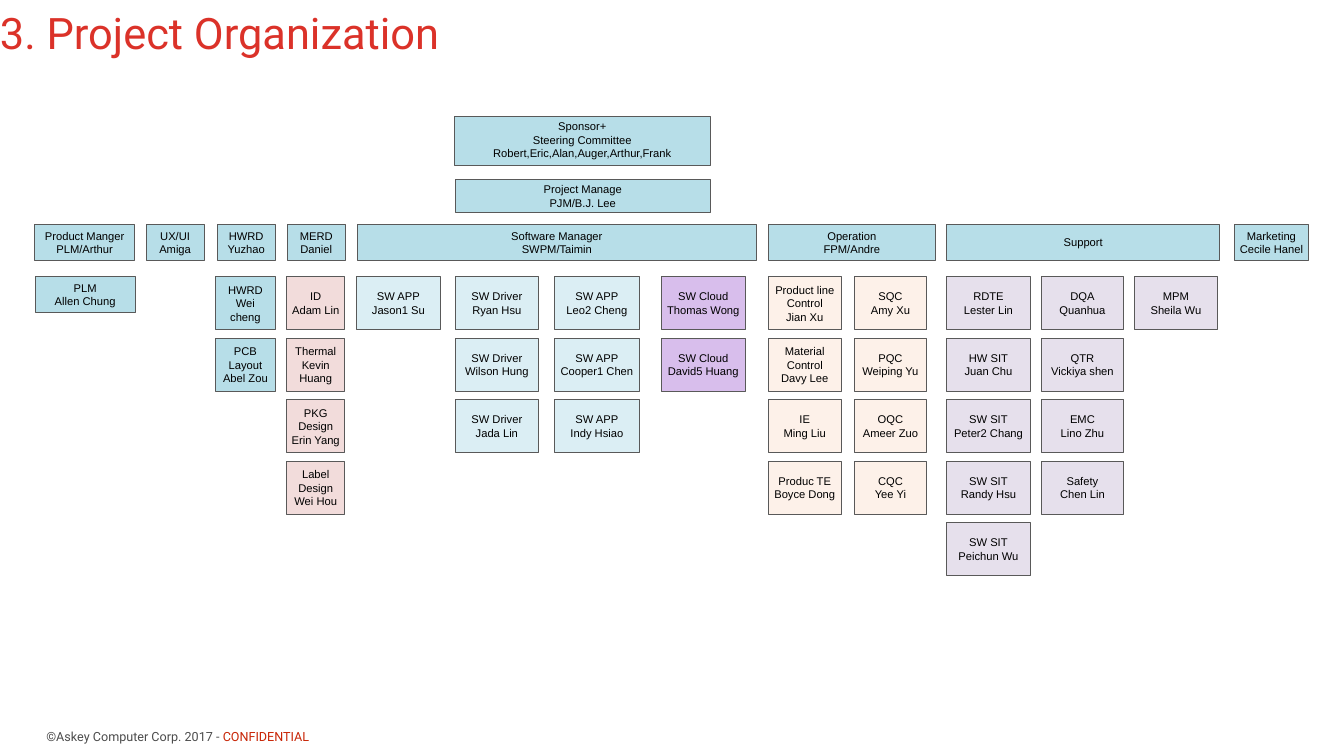
from dataclasses import dataclass

from pptx import Presentation
from pptx.dml.color import RGBColor
from pptx.enum.shapes import MSO_SHAPE
from pptx.enum.text import MSO_ANCHOR, PP_ALIGN
from pptx.util import Inches, Pt

BLUE, PINK, AQUA, PURPLE = "B7DEE8", "F2DCDB", "DBEEF4", "D8BEEC"
CREAM, LILAC, BORDER = "FDF1E9", "E6E0EC", "595959"
HEAD_TOP, HEAD_HEIGHT = 4.46, 0.7
STAFF_TOP, STAFF_HEIGHT, ROW_PITCH = 5.49, 1.05, 1.22


@dataclass
class Box:
    left: float
    top: float
    width: float
    height: float
    text: str
    fill: str = BLUE
    anchor: MSO_ANCHOR = MSO_ANCHOR.MIDDLE


@dataclass
class Column:
    """Staff under a manager, from the top row down."""
    left: float
    width: float
    fill: str
    staff: list[str]
    height: float = STAFF_HEIGHT


LEADERS = [
    Box(9.02, 2.32, 5.07, 0.97,
        "Sponsor+\nSteering Committee\nRobert,Eric,Alan,Auger,Arthur,Frank",
        anchor=MSO_ANCHOR.TOP),
    Box(9.03, 3.57, 5.07, 0.64, "Project Manage\nPJM/B.J. Lee"),
]

MANAGERS = [  # left, width, text
    (0.69, 1.98, "Product Manger\nPLM/Arthur"),
    (2.9, 1.15, "UX/UI\nAmiga"),
    (4.31, 1.15, "HWRD Yuzhao"),
    (5.7, 1.15, "MERD Daniel"),
    (7.09, 7.92, "Software Manager\nSWPM/Taimin"),
    (15.25, 3.31, "Operation\nFPM/Andre"),
    (18.79, 5.41, "Support"),
    (24.49, 1.48, "Marketing\nCecile Hanel"),
]

COLUMNS = [
    Column(0.7, 1.98, BLUE, ["PLM\nAllen Chung"], HEAD_HEIGHT),
    Column(4.28, 1.18, BLUE, ["HWRD Wei\ncheng", "PCB Layout Abel Zou"]),
    Column(5.69, 1.15, PINK, ["ID\nAdam Lin", "Thermal\nKevin Huang",
                              "PKG\nDesign Erin Yang", "Label\nDesign Wei Hou"]),
    Column(7.07, 1.67, AQUA, ["SW APP\nJason1 Su"]),
    Column(9.03, 1.66, AQUA, ["SW Driver\nRyan Hsu", "SW Driver\nWilson Hung",
                              "SW Driver\nJada Lin"]),
    Column(11.01, 1.67, AQUA, ["SW APP\nLeo2 Cheng", "SW APP\nCooper1 Chen",
                               "SW APP\nIndy Hsiao"]),
    Column(13.12, 1.67, PURPLE, ["SW Cloud\nThomas Wong", "SW Cloud\nDavid5 Huang"]),
    Column(15.25, 1.44, CREAM, ["Product line Control\nJian Xu",
                                "Material\nControl\nDavy Lee",
                                "IE\nMing Liu", "Produc TE\nBoyce Dong"]),
    Column(16.95, 1.44, CREAM, ["SQC\nAmy Xu", "PQC\nWeiping Yu",
                                "OQC\nAmeer Zuo", "CQC\nYee Yi"]),
    Column(18.79, 1.65, LILAC, ["RDTE\nLester Lin", "HW SIT\nJuan Chu",
                                "SW SIT\nPeter2 Chang", "SW SIT\nRandy Hsu",
                                "SW SIT\nPeichun Wu"]),
    Column(20.66, 1.64, LILAC, ["DQA\nQuanhua", "QTR\nVickiya shen",
                                "EMC\nLino Zhu", "Safety\nChen Lin"]),
    Column(22.51, 1.65, LILAC, ["MPM\nSheila Wu"]),
]


def rgb(value: str) -> RGBColor:
    return RGBColor.from_string(value)


def add_run(p, text: str, *, size: float, font: str, color: str) -> None:
    r = p.add_run()
    r.text = text
    r.font.size = Pt(size)
    r.font.name = font
    r.font.color.rgb = rgb(color)


def add_box(s, box: Box) -> None:
    sp = s.shapes.add_shape(MSO_SHAPE.RECTANGLE, Inches(box.left), Inches(box.top),
                            Inches(box.width), Inches(box.height))
    sp.shadow.inherit = False
    sp.fill.solid()
    sp.fill.fore_color.rgb = rgb(box.fill)
    sp.line.color.rgb = rgb(BORDER)
    sp.line.width = Pt(1.25)
    tf = sp.text_frame
    tf.word_wrap = True
    tf.vertical_anchor = box.anchor
    for i, line in enumerate(box.text.split("\n")):
        p = tf.add_paragraph() if i else tf.paragraphs[0]
        p.alignment = PP_ALIGN.CENTER
        add_run(p, line, size=16, font="Arial", color="000000")


def add_label(s, left: float, top: float, width: float, height: float,
              runs: list[tuple[str, str]], *, size: float,
              anchor: MSO_ANCHOR = MSO_ANCHOR.TOP) -> None:
    """Add a one-line text box without insets; runs are (text, colour) pairs."""
    sp = s.shapes.add_textbox(Inches(left), Inches(top), Inches(width), Inches(height))
    tf = sp.text_frame
    tf.word_wrap = True
    tf.vertical_anchor = anchor
    tf.margin_left = tf.margin_right = tf.margin_top = tf.margin_bottom = 0
    for text, color in runs:
        add_run(tf.paragraphs[0], text, size=size, font="Roboto", color=color)


def main() -> None:
    prs = Presentation()
    prs.slide_width, prs.slide_height = Inches(26.67), Inches(15)
    s = prs.slides.add_slide(prs.slide_layouts[6])

    add_label(s, 0.92, 14.47, 7.83, 0.44,
              [("©Askey Computer Corp. 2017 - ", "4C4C4C"), ("CONFIDENTIAL", "C82506")],
              size=18)
    add_label(s, 0, -0.02, 25.43, 1.18, [("3. Project Organization", "DB3229")],
              size=62, anchor=MSO_ANCHOR.BOTTOM)

    for leader in LEADERS:
        add_box(s, leader)
    for left, width, text in MANAGERS:
        add_box(s, Box(left, HEAD_TOP, width, HEAD_HEIGHT, text))
    for col in COLUMNS:
        for row, text in enumerate(col.staff):
            top = STAFF_TOP + row * ROW_PITCH
            add_box(s, Box(col.left, top, col.width, col.height, text, col.fill))

    prs.save("out.pptx")


if __name__ == "__main__":
    main()
